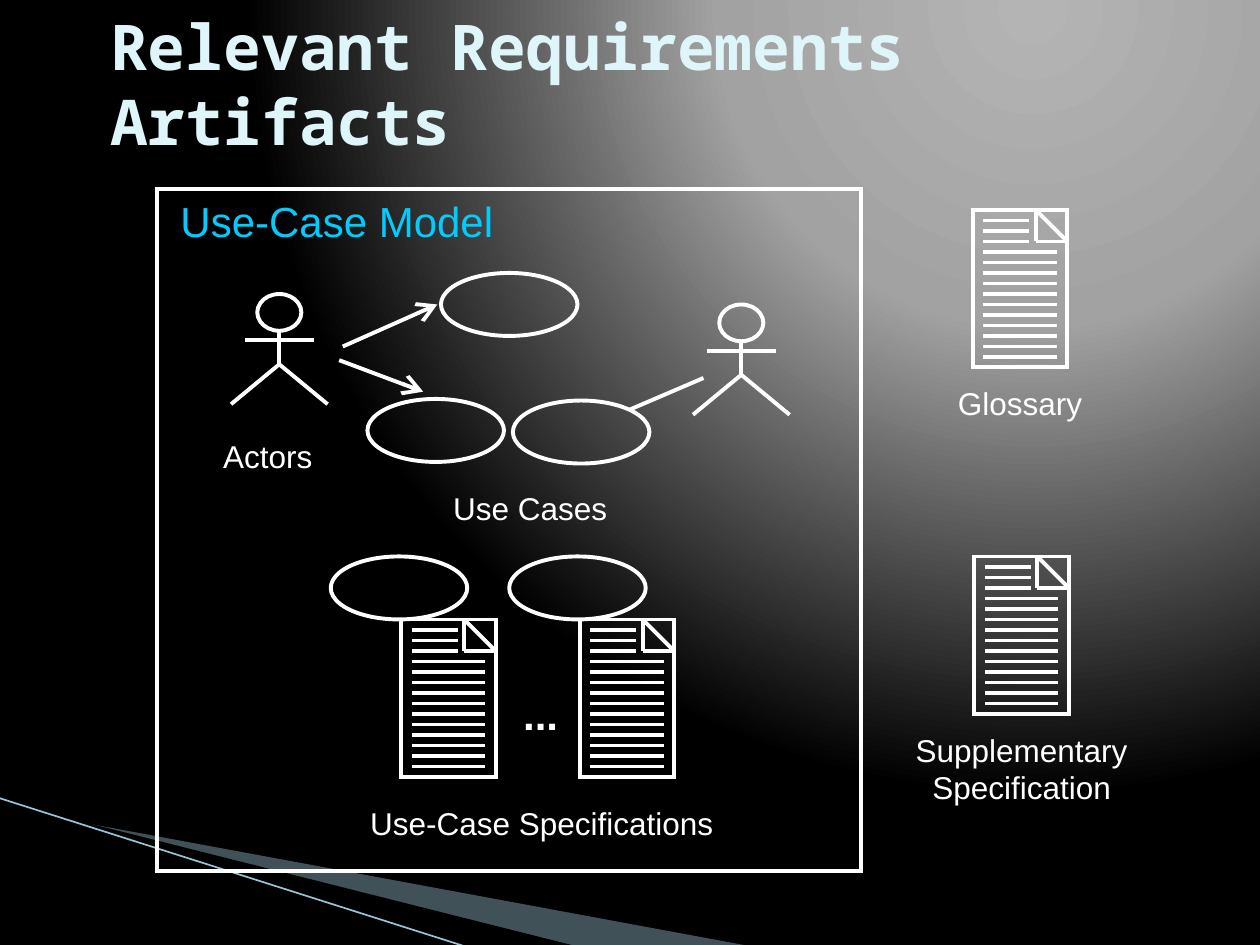
from pptx import Presentation
from pptx.dml.color import RGBColor
from pptx.enum.shapes import MSO_CONNECTOR, MSO_SHAPE
from pptx.enum.text import MSO_ANCHOR, PP_ALIGN
from pptx.oxml import parse_xml
from pptx.oxml.ns import nsdecls, qn
from pptx.util import Inches, Pt
from lxml.etree import SubElement

WHITE = RGBColor(0xFF, 0xFF, 0xFF)
BLACK = RGBColor(0x00, 0x00, 0x00)
CYAN = RGBColor(0x00, 0xCC, 0xFF)
ICE = RGBColor(0xDE, 0xF5, 0xFA)
SWOOSH = RGBColor(0xA0, 0xCB, 0xDC)
STREAK = RGBColor(0x97, 0xC5, 0xD8)
GLOW = ((0, RGBColor(0xB4, 0xB4, 0xB4)), (40, RGBColor(0xA2, 0xA2, 0xA2)), (100, BLACK))

deck = Presentation()
deck.slide_width, deck.slide_height = Inches(10), Inches(7.5)
slide = deck.slides.add_slide(deck.slide_layouts[6])
CELL = deck.slide_width // 120


def grid(*lengths):
    return [round(length * CELL) for length in lengths]


def draw(shapes, kind, places, color=WHITE, weight=2.25):
    if kind == "line":
        item = shapes.add_connector(MSO_CONNECTOR.STRAIGHT, *grid(*places))
        SubElement(item.element.spPr, qn("a:effectLst"))
    elif kind == "path":
        points = [grid(*point) for point in places]
        outline = shapes.build_freeform(*points[0])
        outline.add_line_segments(points[1:], close=False)
        item = outline.convert_to_shape()
    else:
        item = shapes.add_shape(kind, *grid(*places))
    if kind != "line":
        item.shadow.inherit = False
        item.fill.background()
    item.line.color.rgb = color
    item.line.width = Pt(weight)
    if kind == MSO_SHAPE.RECTANGLE:
        SubElement(item.element.spPr.find(qn("a:ln")), qn("a:miter"), lim="800000")
    return item


slide.background.fill.gradient()
gradient = slide.element.find(".//" + qn("a:gradFill"))
stops = "".join(
    f'<a:gs pos="{share * 1000}"><a:srgbClr val="{color}"/></a:gs>' for share, color in GLOW
)
gradient.getparent().replace(gradient, parse_xml(
    f'<a:gradFill {nsdecls("a")} rotWithShape="1"><a:gsLst>{stops}</a:gsLst>'
    '<a:path path="circle"><a:fillToRect l="65000" t="0" r="0" b="98000"/></a:path></a:gradFill>'
))

wedges = (
    (SWOOSH, ((6.6, 78.1), (71.4, 90.1), (54.7, 90.1), (6.6, 78))),
    (BLACK, ((6.4, 77.9), (54.8, 90.1), (44.6, 90.2), (6.5, 78))),
)
for color, points in wedges:
    wedge = draw(slide.shapes, "path", points)
    wedge.fill.solid()
    wedge.fill.fore_color.rgb = color
    wedge.line.fill.background()
    if color == SWOOSH:
        tint = wedge.element.spPr.find(qn("a:solidFill"))[0]
        SubElement(tint, qn("a:alpha"), val="40000")
draw(slide.shapes, "line", (-0.1, 76, 44.5, 90.2), STREAK, 0.95)

draw(slide.shapes, MSO_SHAPE.RECTANGLE, (15, 18, 67, 65))

for left, top, has_use_case in (
    (92.8, 53, False), (92.65, 20, False), (38.2, 59, True), (55.2, 59, True)
):
    page = slide.shapes.add_group_shape().shapes
    if has_use_case:
        draw(page, MSO_SHAPE.OVAL, (left - 6.7, top - 6, 13, 6))
    draw(page, MSO_SHAPE.RECTANGLE, (left, top, 9, 15))
    fold, right = left + 6, left + 9
    draw(page, "line", (fold, top, right, top + 3))
    draw(page, "line", (fold, top, fold, top + 3))
    draw(page, "line", (right, top + 3, fold, top + 3))
    for row in range(1, 15):
        end = left + (5.4 if row <= 3 else 8)
        draw(page, "line", (left + 1, top + row, end, top + row))

for center, top in ((26.6, 28), (70.6, 29)):
    actor = slide.shapes.add_group_shape().shapes
    hip = top + 6.7
    draw(actor, MSO_SHAPE.OVAL, (center - 2.1, top, 4.2, 3.5))
    draw(actor, "line", (center, top + 3.5, center, hip))
    draw(actor, "line", (center - 3.3, top + 4.4, center + 3.3, top + 4.4))
    draw(actor, "path", ((center - 4.6, hip + 3.8), (center, hip), (center + 4.6, hip + 3.8)))

for left, top in ((42, 26), (35, 38), (48.85, 38.15)):
    draw(slide.shapes, MSO_SHAPE.OVAL, (left, top, 13, 6))

for ends, has_arrow in (
    ((32.65, 33, 41.65, 29), True),
    ((32.3, 34.3, 40.3, 37.3), True),
    ((60, 39, 67, 36), False),
):
    link = draw(slide.shapes, "line", ends)
    if has_arrow:
        stroke = link.element.spPr.find(qn("a:ln"))
        SubElement(stroke, qn("a:tailEnd"), type="arrow", w="lg", len="lg")

LEFT, CENTER = PP_ALIGN.LEFT, PP_ALIGN.CENTER
labels = (
    (("Relevant Requirements Artifacts",), (9.3, 1.9, 102, 12), 36, "Noto Sans Mono", ICE, True, LEFT),
    (("Use-Case Model",), (16, 18, 35.6, 6), 24, "Arial", CYAN, False, LEFT),
    (("Actors",), (19, 41, 13, 4.8), 18, "Arial", WHITE, False, CENTER),
    (("Use Cases",), (41, 46, 19, 4.8), 18, "Arial", WHITE, False, CENTER),
    (("...",), (48.5, 65, 6, 6), 24, "Arial", WHITE, True, CENTER),
    (("Use-Case Specifications",), (33.1, 76, 37, 4.8), 18, "Arial", WHITE, False, CENTER),
    (("Glossary",), (90, 36, 14.3, 4.8), 18, "Arial", WHITE, False, CENTER),
    (("Supplementary", "Specification"), (86, 69, 22.6, 8.4), 18, "Arial", WHITE, False, CENTER),
)
for lines, place, size, font, color, bold, alignment in labels:
    box = slide.shapes.add_textbox(*grid(*place))
    frame = box.text_frame
    frame.word_wrap = alignment == LEFT
    frame.vertical_anchor = MSO_ANCHOR.MIDDLE if size == 36 else MSO_ANCHOR.TOP
    for number, line in enumerate(lines):
        para = frame.add_paragraph() if number else frame.paragraphs[0]
        para.alignment = alignment
        span = para.add_run()
        span.text = line
        span.font.size = Pt(size)
        span.font.name = font
        span.font.bold = bold
        span.font.color.rgb = color

deck.save("out.pptx")
